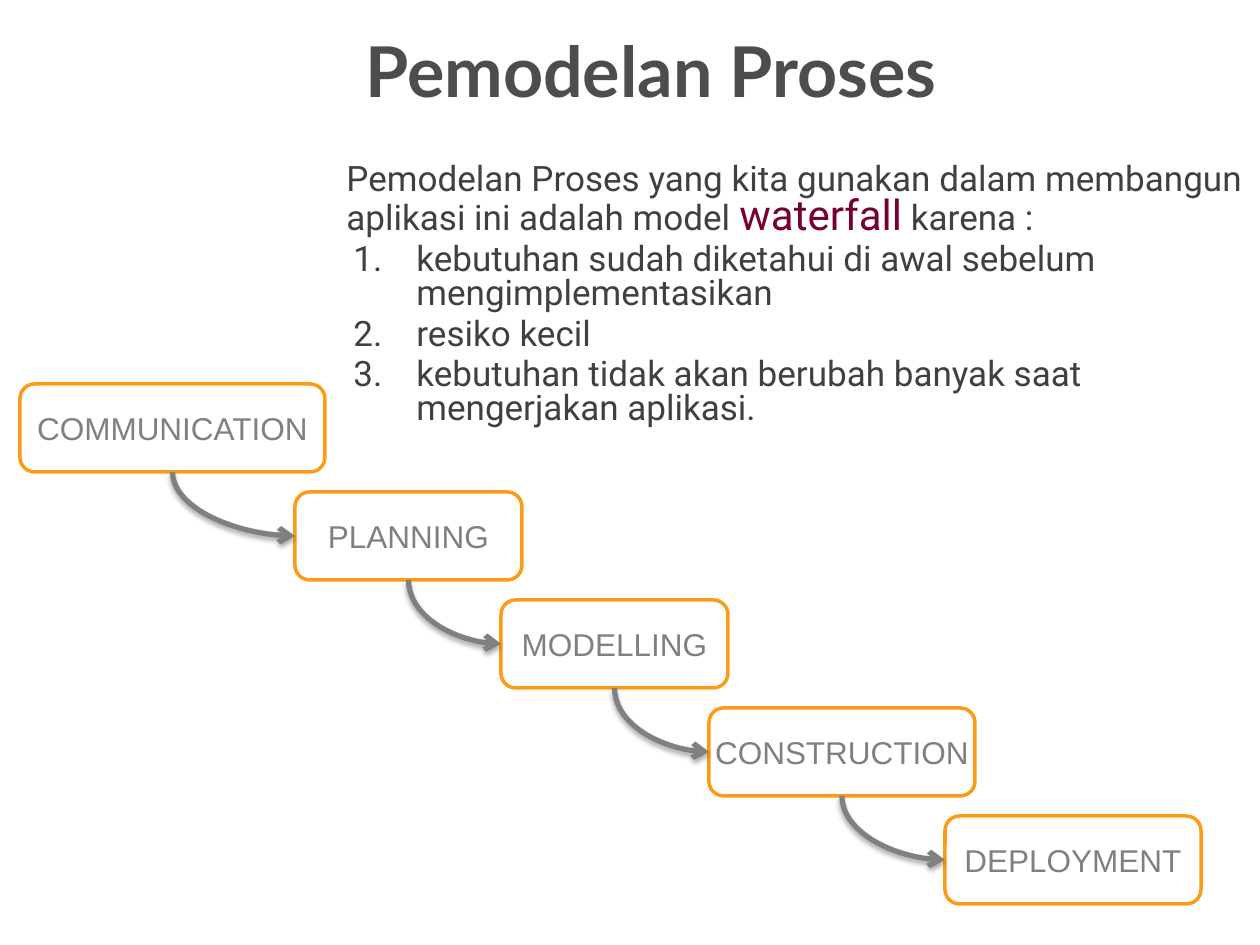
from lxml import etree
from pptx import Presentation
from pptx.dml.color import RGBColor
from pptx.enum.shapes import MSO_CONNECTOR, MSO_SHAPE
from pptx.enum.text import MSO_ANCHOR, PP_ALIGN
from pptx.oxml.ns import qn
from pptx.util import Pt

PX = 914400 / 126
CENTER, MIDDLE = PP_ALIGN.CENTER, MSO_ANCHOR.MIDDLE
ROUNDED, CURVE = MSO_SHAPE.ROUNDED_RECTANGLE, MSO_CONNECTOR.CURVE
BOTTOM_SIDE, LEFT_SIDE = 2, 1
GRAY, DARK, ORANGE, WINE, WHITE = "808080", "404040", "FD9B19", "760036", "FFFFFF"


def px(*lengths):
    return [round(length * PX) for length in lengths]


def add_span(para, text, color, **formats):
    span = para.add_run()
    span.text = text
    span.font.color.rgb = RGBColor.from_string(color)
    for name, value in formats.items():
        setattr(span.font, name, value)


deck = Presentation()
deck.slide_width, deck.slide_height = px(1260, 945)
page = deck.slides.add_slide(deck.slide_layouts[6])

# Title
title = page.shapes.add_textbox(*px(147, 21, 1008, 98)).text_frame
title.word_wrap = True
title.vertical_anchor = MIDDLE
title.paragraphs[0].alignment = CENTER
add_span(title.paragraphs[0], "Pemodelan Proses", "4D4D4D", name="Lato", size=Pt(40), bold=True)

# Introduction and numbered reasons
body = page.shapes.add_textbox(*px(286, 158, 974, 577)).text_frame
body.word_wrap = True
intro = [
    ("Pemodelan Proses yang kita gunakan dalam membangun aplikasi ini adalah model ", DARK, 20),
    ("waterfall", WINE, 24),
    (" karena :", DARK, 20),
]
reasons = [
    "kebutuhan sudah diketahui di awal sebelum mengimplementasikan",
    "resiko kecil",
    "kebutuhan tidak akan berubah banyak saat mengerjakan aplikasi.",
]
for index, spans in enumerate([intro] + [[(reason, DARK, 20)] for reason in reasons]):
    para = body.add_paragraph() if index else body.paragraphs[0]
    para.line_spacing = 0.8
    para.space_before = Pt(4)
    for text, color, size in spans:
        add_span(para, text, color, name="Roboto", size=Pt(size))
    margin, indent = px(118, -63) if index else px(48, 0)
    settings = para._p.get_or_add_pPr()
    settings.set("marL", str(margin))
    settings.set("indent", str(indent))
    if index:
        para.level = 1
        etree.SubElement(settings, qn("a:buAutoNum"), type="arabicPeriod")

# Waterfall stages, stepping down by an equal distance
STAGE_TOP, STAGE_STEP, STAGE_HEIGHT = 384, 108, 88
stages = [
    ("COMMUNICATION", 20, 305),
    ("PLANNING", 295, 227),
    ("MODELLING", 501, 227),
    ("CONSTRUCTION", 709, 266),
    ("DEPLOYMENT", 945, 256),
]
boxes = []
for index, (label, left, width) in enumerate(stages):
    top = STAGE_TOP + index * STAGE_STEP
    box = page.shapes.add_shape(ROUNDED, *px(left, top, width, STAGE_HEIGHT))
    box.shadow.inherit = False
    box.fill.solid()
    box.fill.fore_color.rgb = RGBColor.from_string(WHITE)
    box.line.color.rgb = RGBColor.from_string(ORANGE)
    box.line.width = Pt(2)
    box.text_frame.word_wrap = False
    box.text_frame.vertical_anchor = MIDDLE
    para = box.text_frame.paragraphs[0]
    para.alignment = CENTER
    add_span(para, label, GRAY, name="Arial", size=Pt(18))
    boxes.append(box)

# Curved arrows from the bottom of each stage to the left of the next
for source, target in zip(boxes, boxes[1:]):
    start_x, start_y = source.left + source.width // 2, source.top + source.height
    end_x, end_y = target.left, target.top + target.height // 2
    arrow = page.shapes.add_connector(CURVE, start_x, start_y, end_x, end_y)
    arrow.begin_connect(source, BOTTOM_SIDE)
    arrow.end_connect(target, LEFT_SIDE)
    arrow.line.color.rgb = RGBColor.from_string(GRAY)
    arrow.line.width = Pt(3)

    # A quarter turn plus a flip makes the curve leave downwards
    across, down = end_x - start_x, end_y - start_y
    arrow.width, arrow.height = down, across
    arrow.left = (start_x + end_x - down) // 2
    arrow.top = (start_y + end_y - across) // 2
    properties = arrow._element.spPr
    frame = properties.find(qn("a:xfrm"))
    frame.set("rot", "16200000")
    frame.set("flipH", "1")
    properties.find(qn("a:prstGeom")).set("prst", "curvedConnector2")

    # Arrowhead and soft shadow
    etree.SubElement(properties.find(qn("a:ln")), qn("a:tailEnd"), type="arrow")
    effects = etree.SubElement(properties, qn("a:effectLst"))
    shadow = etree.SubElement(effects, qn("a:outerShdw"), blurRad=str(Pt(3.1)),
                              dist=str(Pt(1.8)), dir="5400000", rotWithShape="0")
    tint = etree.SubElement(shadow, qn("a:srgbClr"), val="000000")
    etree.SubElement(tint, qn("a:alpha"), val="35000")

deck.save("out.pptx")
